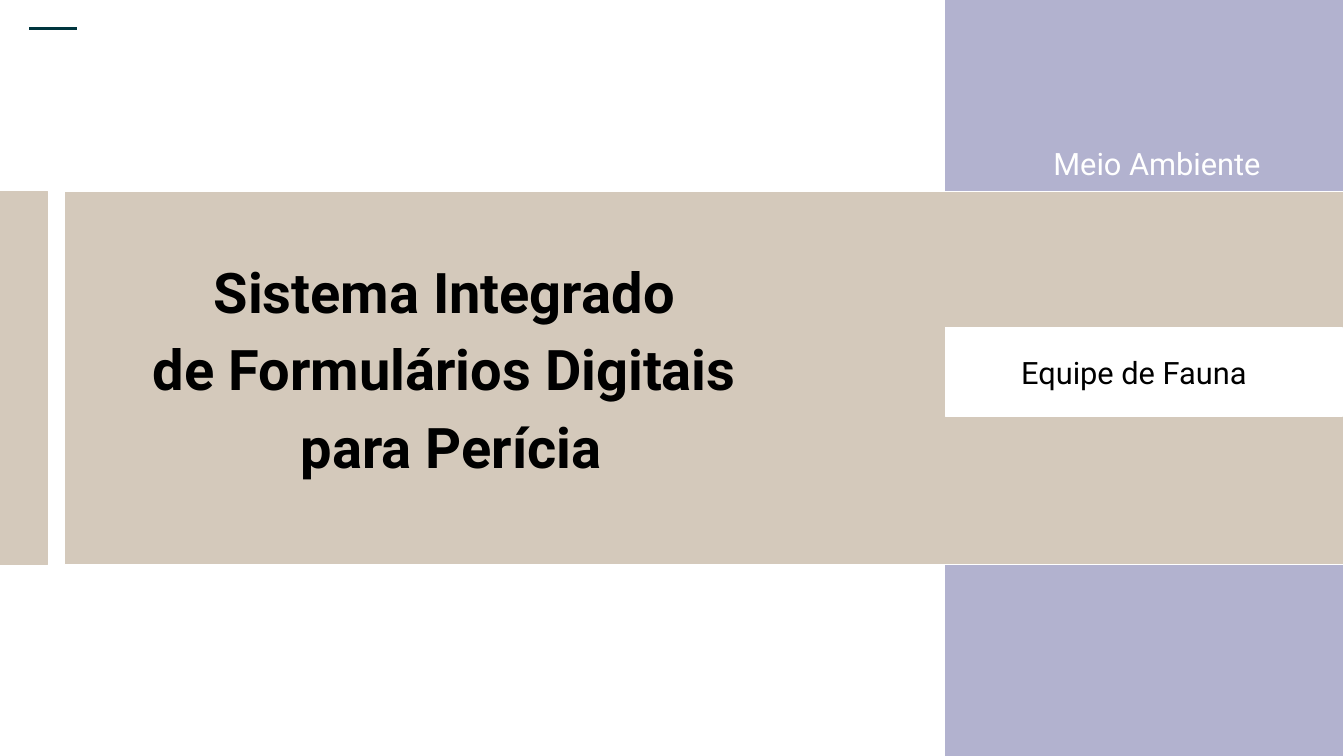
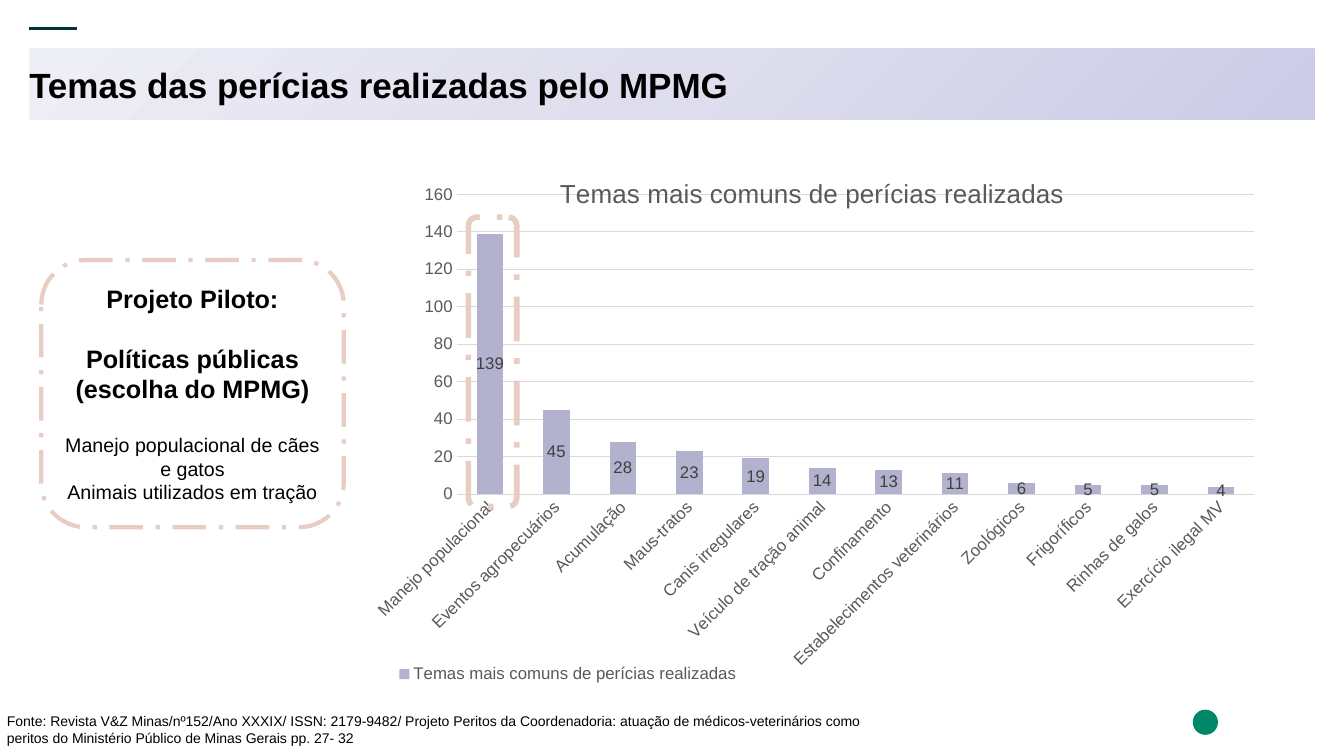
"""Build two slides on digital forms and the themes of expert reports."""
from dataclasses import dataclass

from lxml.etree import SubElement
from pptx import Presentation
from pptx.chart.chart import Chart
from pptx.chart.data import CategoryChartData
from pptx.dml.color import RGBColor
from pptx.enum.chart import XL_CHART_TYPE, XL_LABEL_POSITION, XL_LEGEND_POSITION, XL_TICK_MARK
from pptx.enum.dml import MSO_LINE
from pptx.enum.shapes import MSO_CONNECTOR, MSO_SHAPE
from pptx.enum.text import MSO_ANCHOR, MSO_AUTO_SIZE, PP_ALIGN
from pptx.oxml import parse_xml
from pptx.oxml.ns import nsdecls, qn
from pptx.shapes.autoshape import Shape
from pptx.slide import Slide
from pptx.text.text import Font, TextFrame
from pptx.util import Inches, Pt

COLORS = {
    "black": "000000",
    "white": "FFFFFF",
    "lavender": "B2B2CF",
    "sand": "D4C9BB",
    "rose": "E7CDC2",
    "petrol": "00353E",
    "green": "008768",
    "axis_text": "595959",
    "label_text": "404040",
    "grid": "D9D9D9",
}
TITLE_GRADIENT = {0: "CBCBE6", 50: "DEDEEE", 100: "EEEEF6"}
THEMES = {
    "Manejo populacional": 139,
    "Eventos agropecuários": 45,
    "Acumulação": 28,
    "Maus-tratos": 23,
    "Canis irregulares": 19,
    "Veículo de tração animal": 14,
    "Confinamento": 13,
    "Estabelecimentos veterinários": 11,
    "Zoológicos": 6,
    "Frigoríficos": 5,
    "Rinhas de galos": 5,
    "Exercício ilegal MV": 4,
}
CHART_TITLE = "Temas mais comuns de perícias realizadas"


@dataclass(frozen=True)
class Box:
    left: float
    top: float
    width: float
    height: float

    def lengths(self) -> tuple:
        return tuple(Inches(value) for value in (self.left, self.top, self.width, self.height))


@dataclass(frozen=True)
class Band:
    box: Box
    fill: str
    line: str


@dataclass(frozen=True)
class Line:
    text: str
    size: float
    font: str = "Arial"
    bold: bool = False
    color: str = "black"
    align: PP_ALIGN = PP_ALIGN.LEFT
    before: float = 0
    after: float = 0
    spacing: float = 1.0


COVER_BANDS = (
    Band(Box(9.38, 0, 3.93, 7.5), "lavender", "lavender"),
    Band(Box(0, 1.9, 0.47, 3.7), "sand", "sand"),
    Band(Box(0.64, 1.9, 12.69, 3.7), "sand", "white"),
    Band(Box(9.38, 3.25, 3.93, 0.88), "white", "white"),
)


def rgb(name: str) -> RGBColor:
    return RGBColor.from_string(COLORS[name])


def style_font(font: Font, size: float, color: str, name: str = "Arial", bold: bool = False) -> None:
    font.size = Pt(size)
    font.name = name
    font.bold = bold
    font.color.rgb = rgb(color)


def write_lines(text_frame: TextFrame, lines: list[Line]) -> None:
    text_frame.word_wrap = True
    text_frame.text = "\n".join(line.text for line in lines)
    for paragraph, line in zip(text_frame.paragraphs, lines):
        paragraph.alignment = line.align
        paragraph.line_spacing = line.spacing
        paragraph.space_before = Pt(line.before)
        paragraph.space_after = Pt(line.after)
        for run in paragraph.runs:
            style_font(run.font, line.size, line.color, line.font, line.bold)


def add_text(slide: Slide, box: Box, lines: list[Line]) -> None:
    write_lines(slide.shapes.add_textbox(*box.lengths()).text_frame, lines)


def place_title(slide: Slide, box: Box, anchor: MSO_ANCHOR, lines: list[Line]) -> Shape:
    title = slide.shapes.title
    title.left, title.top, title.width, title.height = box.lengths()
    title.text_frame.auto_size = MSO_AUTO_SIZE.NONE
    title.text_frame.vertical_anchor = anchor
    write_lines(title.text_frame, lines)
    return title


def add_band(slide: Slide, band: Band) -> None:
    shape = slide.shapes.add_shape(MSO_SHAPE.RECTANGLE, *band.box.lengths())
    shape.shadow.inherit = False
    shape.fill.solid()
    shape.fill.fore_color.rgb = rgb(band.fill)
    shape.line.color.rgb = rgb(band.line)
    shape.line.width = Pt(1)


def add_dashed_frame(slide: Slide, box: Box, width: float, rotation: float = 0) -> Shape:
    frame = slide.shapes.add_shape(MSO_SHAPE.ROUNDED_RECTANGLE, *box.lengths())
    frame.rotation = rotation
    frame.shadow.inherit = False
    frame.fill.background()
    frame.line.color.rgb = rgb("rose")
    frame.line.width = Pt(width)
    frame.line.dash_style = MSO_LINE.LONG_DASH_DOT
    return frame


def new_slide(presentation: Presentation) -> Slide:
    slide = presentation.slides.add_slide(presentation.slide_layouts[5])
    accent = slide.shapes.add_connector(
        MSO_CONNECTOR.STRAIGHT, Inches(0.29), Inches(0.28), Inches(0.76), Inches(0.28)
    )
    accent.line.color.rgb = rgb("petrol")
    accent.line.width = Pt(2)
    SubElement(accent.element.find(qn("p:spPr")), qn("a:effectLst"))
    return slide


def fill_gradient(shape: Shape) -> None:
    shape.fill.gradient()
    gradient = shape.element.find(qn("p:spPr")).find(qn("a:gradFill"))
    stops = "".join(
        f'<a:gs pos="{position * 1000}"><a:srgbClr val="{color}"/></a:gs>'
        for position, color in TITLE_GRADIENT.items()
    )
    gradient.getparent().replace(gradient, parse_xml(
        f'<a:gradFill {nsdecls("a")} rotWithShape="1"><a:gsLst>{stops}</a:gsLst>'
        '<a:path path="circle"><a:fillToRect l="100000" t="100000"/></a:path>'
        '<a:tileRect r="-100000" b="-100000"/></a:gradFill>'
    ))


def set_layout(chart: Chart, tag: str, index: int, inner: bool = False, **edges: float) -> None:
    parent = next(chart.element.iter(qn(tag)))
    for old_layout in parent.findall(qn("c:layout")):
        parent.remove(old_layout)
    layout = parse_xml(f'<c:layout {nsdecls("c")}><c:manualLayout/></c:layout>')
    manual = layout[0]
    if inner:
        SubElement(manual, qn("c:layoutTarget")).set("val", "inner")
    for mode in ("xMode", "yMode"):
        SubElement(manual, qn(f"c:{mode}")).set("val", "edge")
    for edge, value in edges.items():
        SubElement(manual, qn(f"c:{edge}")).set("val", str(value))
    parent.insert(index, layout)


def style_axes(chart: Chart) -> None:
    categories, values = chart.category_axis, chart.value_axis
    for axis in (categories, values):
        axis.major_tick_mark = axis.minor_tick_mark = XL_TICK_MARK.NONE
        style_font(axis.tick_labels.font, 12, "axis_text")
    category_element = next(chart.element.iter(qn("c:catAx")))
    category_element.find(qn("c:txPr")).find(qn("a:bodyPr")).set("rot", "-2700000")
    values.minimum_scale, values.maximum_scale, values.major_unit = 0, 160, 20
    values.format.line.fill.background()
    values.has_major_gridlines = True
    for line in (categories.format.line, values.major_gridlines.format.line):
        line.color.rgb = rgb("grid")
        line.width = Pt(0.75)


def add_theme_chart(slide: Slide, box: Box) -> None:
    data = CategoryChartData()
    data.categories = list(THEMES)
    data.add_series(CHART_TITLE, list(THEMES.values()))
    chart = slide.shapes.add_chart(XL_CHART_TYPE.COLUMN_STACKED, *box.lengths(), data).chart
    style_font(chart.font, 10, "black")
    style_axes(chart)

    chart.has_title = True
    write_lines(chart.chart_title.text_frame, [Line(CHART_TITLE, 18.6, color="axis_text")])
    chart.has_legend = True
    chart.legend.position = XL_LEGEND_POSITION.BOTTOM
    chart.legend.include_in_layout = False
    style_font(chart.legend.font, 12, "axis_text")

    plot = chart.plots[0]
    plot.gap_width, plot.overlap = 150, 100
    plot.vary_by_categories = False
    series = plot.series[0]
    series.format.fill.solid()
    series.format.fill.fore_color.rgb = rgb("lavender")
    labels = series.data_labels
    labels.show_value = True
    labels.position = XL_LABEL_POSITION.CENTER
    style_font(labels.font, 12, "label_text")

    set_layout(chart, "c:title", 1, x=0.21, y=0.04)
    set_layout(chart, "c:legend", 1, x=0.03, y=0.89)
    set_layout(chart, "c:plotArea", 0, inner=True, x=0.1, y=0.08, w=0.89, h=0.52)


def build_cover(presentation: Presentation) -> None:
    slide = new_slide(presentation)
    for band in COVER_BANDS:
        add_band(slide, band)
    add_text(slide, Box(10.03, 3.5, 2.83, 0.48),
             [Line("Equipe de Fauna", 22, "Roboto", before=10, spacing=0.9)])
    title_lines = [
        Line(text, 40, "Roboto", True, align=PP_ALIGN.CENTER, before=6, after=6, spacing=0.9)
        for text in ("Sistema Integrado ", "de Formulários Digitais ", "para Perícia")
    ]
    title = place_title(slide, Box(0.05, 2.58, 8.85, 1.48), MSO_ANCHOR.TOP, title_lines)
    title.element.getparent().append(title.element)
    add_text(slide, Box(9.37, 1.43, 4.21, 0.58),
             [Line("Meio Ambiente", 22, "Roboto", color="white", align=PP_ALIGN.CENTER,
                   before=10, spacing=0.9)])


def build_themes(presentation: Presentation) -> None:
    slide = new_slide(presentation)
    title = place_title(slide, Box(0.29, 0.48, 12.75, 0.71), MSO_ANCHOR.MIDDLE,
                        [Line("Temas das perícias realizadas pelo MPMG", 25, bold=True)])
    frame = title.text_frame
    frame.margin_left = frame.margin_top = frame.margin_right = frame.margin_bottom = 0
    fill_gradient(title)

    emblem = slide.shapes.add_shape(MSO_SHAPE.OVAL, *Box(11.83, 7.04, 0.25, 0.25).lengths())
    emblem.shadow.inherit = False
    emblem.fill.solid()
    emblem.fill.fore_color.rgb = rgb("green")
    emblem.line.fill.background()

    pilot = add_dashed_frame(slide, Box(0.41, 2.58, 3, 2.65), 3)
    pilot.text_frame.vertical_anchor = MSO_ANCHOR.MIDDLE
    center = PP_ALIGN.CENTER
    write_lines(pilot.text_frame, [
        Line("Projeto Piloto:", 18, bold=True, align=center),
        Line("Políticas públicas", 18, bold=True, align=center, before=21),
        Line("(escolha do MPMG)", 18, bold=True, align=center),
        Line("Manejo populacional de cães e gatos", 14, align=center, before=21),
        Line("Animais utilizados em tração", 14, align=center),
    ])
    add_theme_chart(slide, Box(3.64, 1.47, 8.89, 5.72))
    add_dashed_frame(slide, Box(3.45, 3.35, 2.87, 0.48), 4, rotation=90)
    add_text(slide, Box(-0.03, 7.02, 13.36, 0.44), [
        Line("Fonte: Revista V&Z Minas/nº152/Ano XXXIX/ ISSN: 2179-9482/ Projeto Peritos da "
             "Coordenadoria: atuação de médicos-veterinários como", 10),
        Line("peritos do Ministério Público de Minas Gerais pp. 27- 32", 10),
    ])


def main() -> None:
    presentation = Presentation()
    presentation.slide_width, presentation.slide_height = Inches(13.33), Inches(7.5)
    build_cover(presentation)
    build_themes(presentation)
    presentation.save("out.pptx")


if __name__ == "__main__":
    main()
